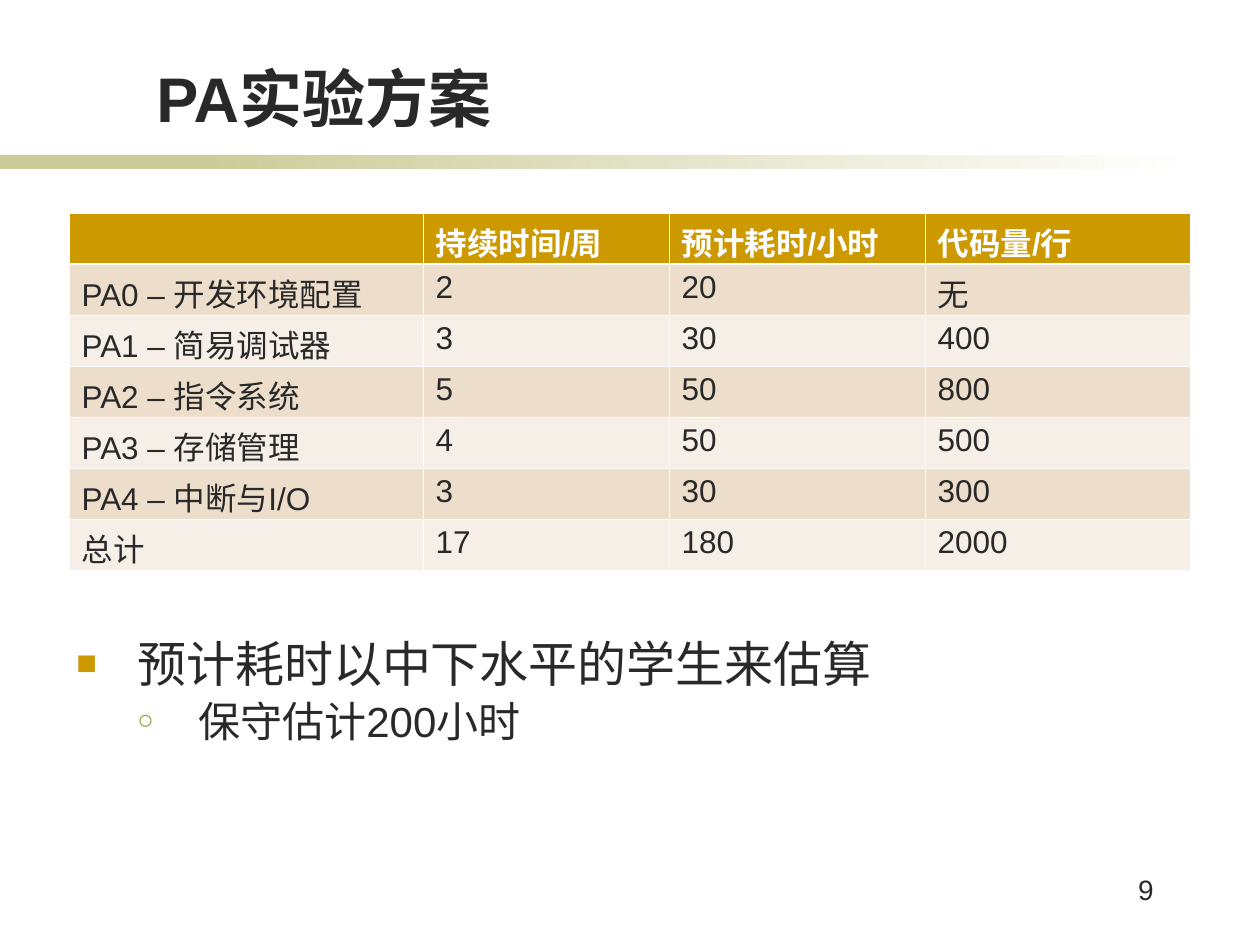
from lxml import etree
from pptx import Presentation
from pptx import util as u
from pptx.dml.color import RGBColor
from pptx.enum import shapes, text
from pptx.oxml import ns

INK = RGBColor(0x29, 0x29, 0x29)
WHITE = RGBColor(0xFF, 0xFF, 0xFF)
GOLD = RGBColor(0xCC, 0x99, 0x00)
OLIVE = RGBColor(0x99, 0x99, 0x33)
SAGE = RGBColor(0xCC, 0xCC, 0x99)
BANDS = [RGBColor(0xF6, 0xEF, 0xE7), RGBColor(0xEC, 0xDE, 0xCB)]

ROWS = [
    ["", "持续时间/周", "预计耗时/小时", "代码量/行"],
    ["PA0 – 开发环境配置", "2", "20", "无"],
    ["PA1 – 简易调试器", "3", "30", "400"],
    ["PA2 – 指令系统", "5", "50", "800"],
    ["PA3 – 存储管理", "4", "50", "500"],
    ["PA4 – 中断与I/O", "3", "30", "300"],
    ["总计", "17", "180", "2000"],
]
COLS = [354, 246, 256, 265]
POINTS = [
    ("预计耗时以中下水平的学生来估算", 28, "■", GOLD, 70, 0),
    ("保守估计200小时", 24, "○", OLIVE, 65, 6),
]


def px(n):
    return u.Emu(round(n * 914400 / 126))


def style(item, **form):
    for key, val in form.items():
        setattr(item, key, val)


def write(para, words, size, color=INK, bold=False):
    run = para.add_run()
    run.text = words
    style(run.font, name="Arial", size=u.Pt(size), bold=bold)
    run.font.color.rgb = color


def node(root, tag, **attrs):
    return etree.SubElement(root, ns.qn(tag), attrs)


def frame(slide, box, **form):
    tf = slide.shapes.add_textbox(*map(px, box)).text_frame
    style(tf, word_wrap=True, **form)
    return tf


def band(slide, box):
    left, top, width, height = box
    parts = []
    for start, end in ((0, 294), (199, width)):
        bar = slide.shapes.add_shape(
            shapes.MSO_SHAPE.RECTANGLE,
            *map(px, (left + start, top, end - start, height)))
        bar.shadow.inherit = False
        bar.line.fill.background()
        parts.append(bar)
    solid, fade = parts
    solid.fill.solid()
    solid.fill.fore_color.rgb = SAGE
    fade.fill.gradient()
    fade.fill.gradient_angle = 0
    for stop, color in zip(fade.fill.gradient_stops, (SAGE, WHITE)):
        stop.color.rgb = color


def title(slide, box):
    tf = frame(slide, box, margin_top=0, margin_bottom=0,
               vertical_anchor=text.MSO_ANCHOR.BOTTOM)
    write(tf.paragraphs[0], "PA实验方案", 36, bold=True)


def border(cell, row):
    props = cell._tc.get_or_add_tcPr()
    thick = {"a:lnB": row == 0, "a:lnT": row == 1}
    for tag in ("a:lnL", "a:lnR", "a:lnT", "a:lnB"):
        width = 1.47 if thick.get(tag) else 0.45
        line = node(props, tag, w=str(u.Pt(width)))
        node(node(line, "a:solidFill"), "a:srgbClr", val=str(WHITE))


def plan(slide, box):
    table = slide.shapes.add_table(len(ROWS), len(COLS), *map(px, box)).table
    table.horz_banding = False
    for col, width in zip(table.columns, COLS):
        col.width = px(width)
    for r, line in enumerate(ROWS):
        table.rows[r].height = px(box[3] // len(ROWS))
        for c, words in enumerate(line):
            cell = table.cell(r, c)
            border(cell, r)
            cell.fill.solid()
            cell.fill.fore_color.rgb = BANDS[r % 2] if r else GOLD
            if words:
                write(cell.text_frame.paragraphs[0], words, 18,
                      INK if r else WHITE, r == 0)


def notes(slide, box):
    tf = frame(slide, box)
    for i, (words, size, mark, color, scale, gap) in enumerate(POINTS):
        para = tf.add_paragraph() if i else tf.paragraphs[0]
        style(para, level=i, line_spacing=0.85, space_before=u.Pt(gap))
        props = para._p.get_or_add_pPr()
        props.set("marL", str(px(61 * (i + 1))))
        props.set("indent", str(-px(61)))
        node(node(props, "a:buClr"), "a:srgbClr", val=str(color))
        node(props, "a:buSzPct", val=str(scale * 1000))
        node(props, "a:buFont", typeface="Arial")
        node(props, "a:buChar", char=mark)
        write(para, words, size)


def number(slide, box):
    para = frame(slide, box).paragraphs[0]
    para.alignment = text.PP_ALIGN.RIGHT
    write(para, "9", 16)


def main():
    deck = Presentation()
    style(deck, slide_width=px(1260), slide_height=px(945))
    slide = deck.slides.add_slide(deck.slide_layouts[6])
    band(slide, (0, 155, 1197, 14))
    title(slide, (144, 39, 900, 96))
    notes(slide, (64, 636, 1176, 173))
    plan(slide, (69, 213, sum(COLS), 357))
    number(slide, (1037, 866, 129, 63))
    deck.save("out.pptx")


if __name__ == "__main__":
    main()
